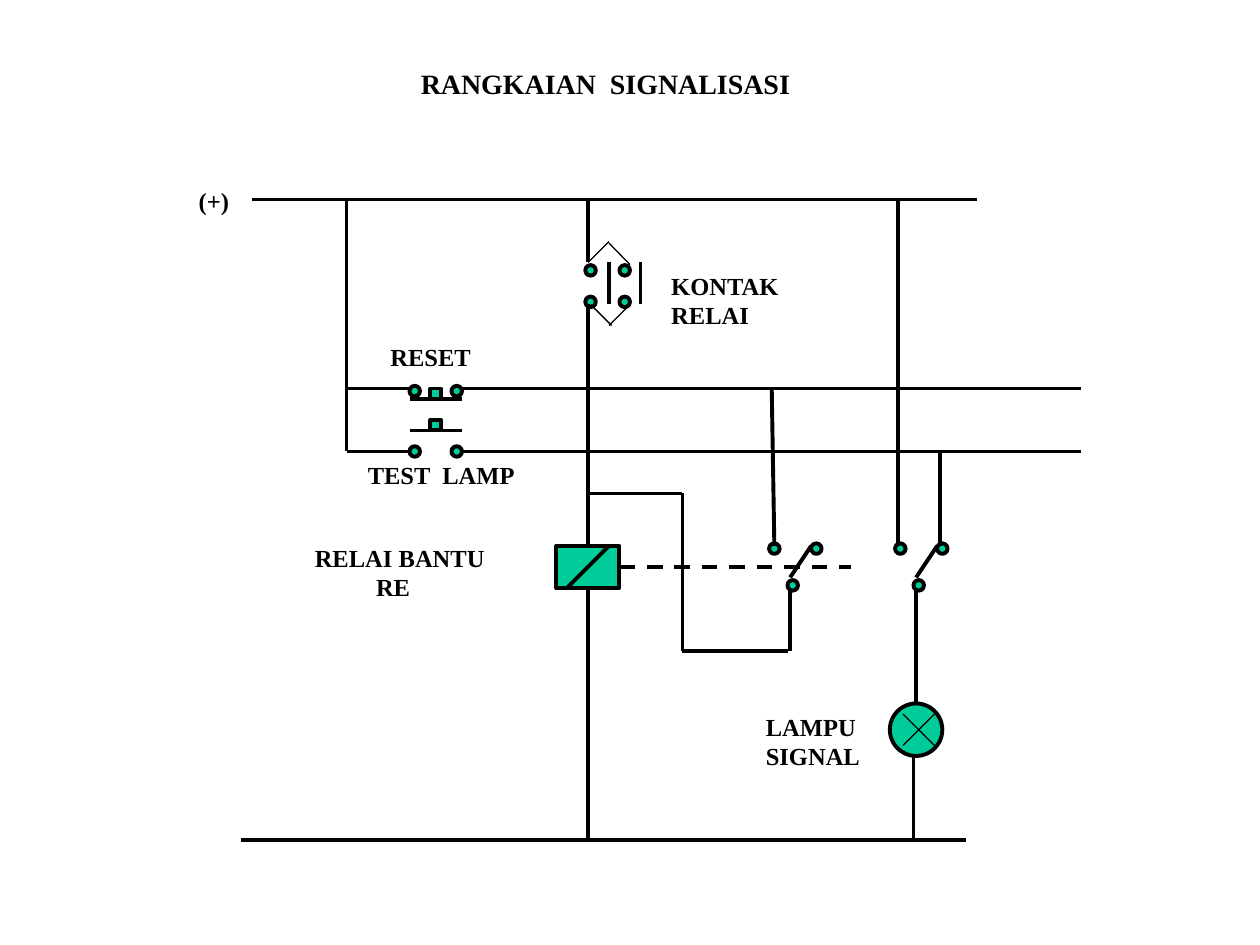
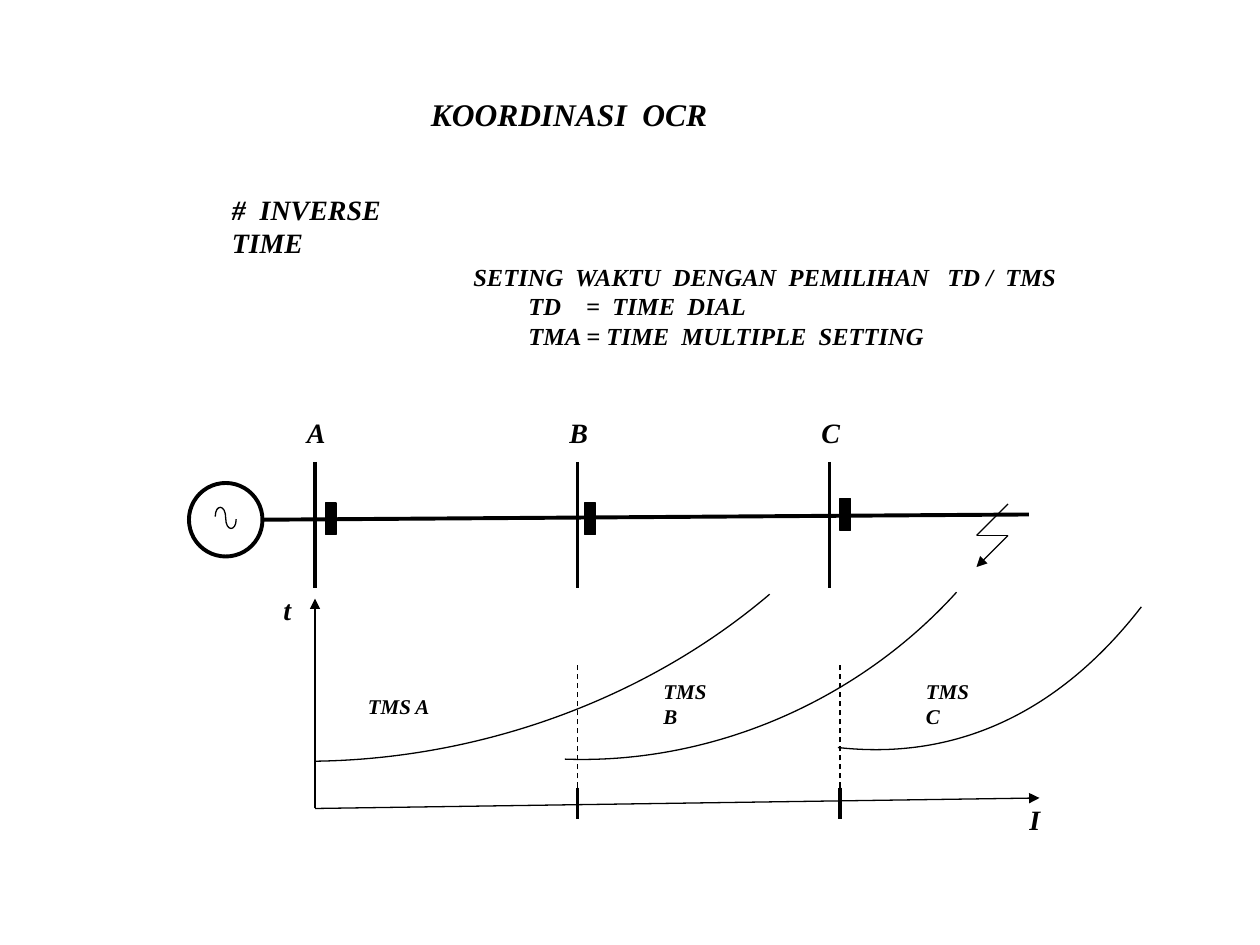
from dataclasses import dataclass
from typing import Any

from lxml import etree
from pptx import Presentation
from pptx.dml.color import RGBColor as RGB
from pptx.enum.dml import MSO_LINE
from pptx.enum.shapes import MSO_CONNECTOR as CONN, MSO_SHAPE as SHAPE
from pptx.enum.text import MSO_AUTO_SIZE as AUTO
from pptx.oxml.ns import qn
from pptx.util import Inches, Pt

# Shared look: the slide is a grid of 120 columns by 90 rows
COLS, ROWS = 120, 90
UNIT = Inches(10) // COLS
COLORS = {"ink": "000000", "part": "00CC99"}
THICK, MEDIUM, THIN = 2.25, 1.5, 0.75
FONT = {"name": "Times New Roman", "bold": True}
ITALIC = {"italic": True}
TITLE, HEAD, BODY, SMALL = 18, 16, 14, 12
LINE_HEIGHT = 1.21


def rgb(name):
    return RGB.from_string(COLORS[name])


def grid(value):
    return round(value * UNIT)


def style_line(line, width, dash=False):
    line.color.rgb = rgb("ink")
    line.width = Pt(width)
    if dash:
        line.dash_style = MSO_LINE.DASH


@dataclass
class Box:
    """A region of a slide; its parts are placed from its top left corner."""
    s: Any
    x: float
    y: float
    w: float
    h: float

    def at(self, x, y):
        return grid(self.x + x), grid(self.y + y)

    def line(self, x1, y1, x2, y2, width=THICK, dash=False, arrow=False):
        c = self.s.shapes.add_connector(CONN.STRAIGHT, *self.at(x1, y1), *self.at(x2, y2))
        style_line(c.line, width, dash)
        if arrow:
            etree.SubElement(c.line._get_or_add_ln(), qn("a:tailEnd"), type="triangle")
        etree.SubElement(c._element.spPr, qn("a:effectLst"))
        return c

    def polyline(self, points, width=THICK, arrow=False):
        for i, (a, b) in enumerate(zip(points, points[1:]), 2):
            self.line(*a, *b, width, arrow=arrow and i == len(points))

    def shape(self, kind, x, y, w=1, h=1, fill="part", width=THICK):
        sp = self.s.shapes.add_shape(kind, *self.at(x, y), grid(w), grid(h))
        sp.shadow.inherit = False
        if fill:
            sp.fill.solid()
            sp.fill.fore_color.rgb = rgb(fill)
        else:
            sp.fill.background()
        style_line(sp.line, width)
        return sp

    def dots(self, *points):
        for x, y in points:
            self.shape(SHAPE.OVAL, x, y)

    def curve(self, *points):
        """Start point, then three points for each Bezier piece."""
        start, *rest = [self.at(*pt) for pt in points]
        fb = self.s.shapes.build_freeform(*start)
        fb.add_line_segments(rest, close=False)
        sp = fb.convert_to_shape()
        sp.shadow.inherit = False
        sp.fill.background()
        style_line(sp.line, THIN)
        steps = list(sp._element.iter(qn("a:lnTo")))
        for i in range(0, len(steps), 3):
            bezier = etree.Element(qn("a:cubicBezTo"))
            steps[i].addprevious(bezier)
            for step in steps[i:i + 3]:
                bezier.append(step[0])
                step.getparent().remove(step)

    def text(self, x, y, w, lines, size=BODY, extra=None, tabs=()):
        lines = lines.split("\n")
        height = Inches(0.1) + Pt(size * LINE_HEIGHT * len(lines))
        tf = self.s.shapes.add_textbox(*self.at(x, y), grid(w), height).text_frame
        tf.word_wrap = False
        tf.auto_size = AUTO.SHAPE_TO_FIT_TEXT
        for i, line in enumerate(lines):
            p = tf.paragraphs[0] if i == 0 else tf.add_paragraph()
            if tabs:
                stops = etree.SubElement(p._p.get_or_add_pPr(), qn("a:tabLst"))
                for pos in tabs:
                    etree.SubElement(stops, qn("a:tab"), pos=str(grid(pos)), algn="l")
            r = p.add_run()
            r.text = line
            for key, value in {**FONT, "size": Pt(size), **(extra or {})}.items():
                setattr(r.font, key, value)
            r.font.color.rgb = rgb("ink")


# ---- Slide 1: signalling circuit ----
def supply_rails(b):
    b.line(1, 0, b.w, 0)
    b.line(0, b.h, b.w - 1, b.h)
    b.text(-5.25, -1.85, 5.3, "(+)")


def push_buttons(b):
    b.line(0, 0, 0, b.h)
    # Row of the wire, top of the dots, top of the plunger, row of the bridge
    for wire, dot, plunger, bridge in ((18, 17.75, 18, 19), (24, 23.5, 21, 22)):
        b.line(0, wire, 6, wire)
        b.line(11, wire, b.w, wire)
        b.dots((6, dot), (10, dot))
        b.shape(SHAPE.RECTANGLE, 8, plunger)
        b.line(6, bridge, 11, bridge)
    b.text(3, 13, 10.1, "RESET")
    b.text(0.85, 24.2, 16.45, "TEST  LAMP")


def relay_contact(b):
    b.line(1, 0, 1, 6)
    b.dots(*((x, y) for x in (0.75, 4) for y in (6.25, 9.25)))
    for x in (3, 6):
        b.line(x, 6, x, 10)
    for ends in ((1, 6, 3, 4), (3, 4.15, 5, 6.2), (1.25, 10, 3.25, 12), (3, 12, 5, 10)):
        b.line(*ends, THIN)
    b.text(7.75, 6.2, 12.7, "KONTAK\nRELAI")


def relay_coil(b):
    mid = b.w / 2
    coil = b.shape(SHAPE.RECTANGLE, 0, 0, b.w, b.h)
    b.line(1, b.h, b.w - 1, 0)
    b.line(mid, -23, mid, 0).end_connect(coil, 0)
    b.line(mid, b.h, mid, 28).begin_connect(coil, 2)
    b.line(b.w, b.h / 2, 28, b.h / 2, dash=True).begin_connect(coil, 3)
    b.text(-24.2, -0.9, 18.6, "RELAI BANTU\n\tRE", tabs=(5.83,))


def changeover(b):
    b.dots((0, 0), (4, 0), (1.75, 3.5))
    b.line(2, 3.25, 4, 0.25)


def contact_wiring(b):
    # Feeds from the rails
    b.line(17.5, 0, 17.75, 15)
    b.line(33.5, 6, 33.5, 15)
    b.line(29.5, 15, 29.5, -18)
    # Holding loop
    b.polyline([(0, 10), (9, 10), (9, b.h), (19, b.h)])
    b.line(19.25, 19, 19.25, b.h)


def signal_lamp(b):
    b.line(2.5, -11, 2.5, 0)
    b.shape(SHAPE.OVAL, 0, 0, b.w, b.h)
    b.line(2.25, b.h, 2.25, 13)
    b.line(1.25, 4, 4.25, 1, THIN)
    b.line(1.25, 1, 4.25, 4, THIN)
    b.text(-13, 0.2, 11.4, "LAMPU\nSIGNAL")


def signal_slide(s):
    supply_rails(Box(s, 23, 19, 70, 61))
    push_buttons(Box(s, 33, 19, 70, 24))
    relay_contact(Box(s, 55, 19, 20, 12))
    relay_coil(Box(s, 53, 52, 6, 4))
    for x in (73.25, 85.25):
        changeover(Box(s, x, 51.75, 5, 4.5))
    contact_wiring(Box(s, 56, 37, 34, 25))
    signal_lamp(Box(s, 84.75, 67, 5, 5))
    Box(s, 0, 0, COLS, ROWS).text(38.9, 5.75, 37.55, "RANGKAIAN  SIGNALISASI", HEAD)


# ---- Slide 2: inverse time coordination ----
def headings(b):
    b.text(39.85, 0, 28.7, "KOORDINASI  OCR", TITLE, ITALIC)
    b.text(20.9, 9.2, 24, "#  INVERSE TIME", HEAD, ITALIC)
    b.text(43.9, 15.85, 58.2,
           "SETING  WAKTU  DENGAN  PEMILIHAN   TD /  TMS\n"
           "\tTD\t=  TIME  DIAL\n"
           "\tTMA = TIME  MULTIPLE  SETTING", BODY, ITALIC, tabs=(5.25, 10.75))


def generator(b):
    b.shape(SHAPE.OVAL, 0, 0, b.w, b.h, None)
    b.curve((2.5, 3.2), (2.5, 2), (3.5, 2), (3.5, 3.35),
            (3.5, 4.64), (4.5, 4.64), (4.5, 3.45))


def feeder(b):
    b.line(0, 5.5, b.w, 5)
    for name, bus, relay, top in (("A", 5, 6, 3.9), ("B", 30, 30.7, 3.9), ("C", 54, 55, 3.5)):
        b.line(bus, 0, bus, b.h)
        b.shape(SHAPE.RECTANGLE, relay, top, 1, 3, "ink", THIN)
        b.text(bus - 1.95, -5, 4.2, name, HEAD, ITALIC)
    # Fault mark
    b.polyline([(71, 4), (68, 7), (71, 7), (68, 10)], THIN, arrow=True)


def time_chart(b):
    b.line(0, b.h, 0, 0, MEDIUM, arrow=True)
    b.line(0, b.h, b.w, b.h - 1, THIN, arrow=True)
    b.text(-4.2, -1.2, 3.1, "t", HEAD, ITALIC)
    b.text(66.85, 18.85, 3.35, "I", HEAD, ITALIC)
    for x in (25, 50):
        b.line(x, 18, x, 21)
        b.line(x, 18, x, 6, THIN, dash=True)
    curves = (
        ("TMS A", 3.85, 8.5, ((0, 15.5), (15.5, 15.3), (31.3, 9.8), (43.3, -0.4))),
        ("TMS B", 32, 7, ((23.8, 15.3), (37.5, 15.8), (51.5, 10), (61.1, -0.6))),
        ("TMS C", 57, 7, ((49.8, 14.2), (61.5, 15.5), (71.2, 10.5), (78.7, 0.8))),
    )
    for name, x, y, points in curves:
        b.curve(*points)
        b.text(x, y, 8.3, name, SMALL, ITALIC)


def coordination_slide(s):
    headings(Box(s, 0, 8.5, COLS, 27))
    generator(Box(s, 18, 46, 7, 7))
    feeder(Box(s, 25, 44, 73, 12))
    time_chart(Box(s, 30, 57, 69, 20))


def main():
    prs = Presentation()
    prs.slide_width, prs.slide_height = COLS * UNIT, ROWS * UNIT
    for build in (signal_slide, coordination_slide):
        build(prs.slides.add_slide(prs.slide_layouts[6]))
    prs.save("out.pptx")


if __name__ == "__main__":
    main()
